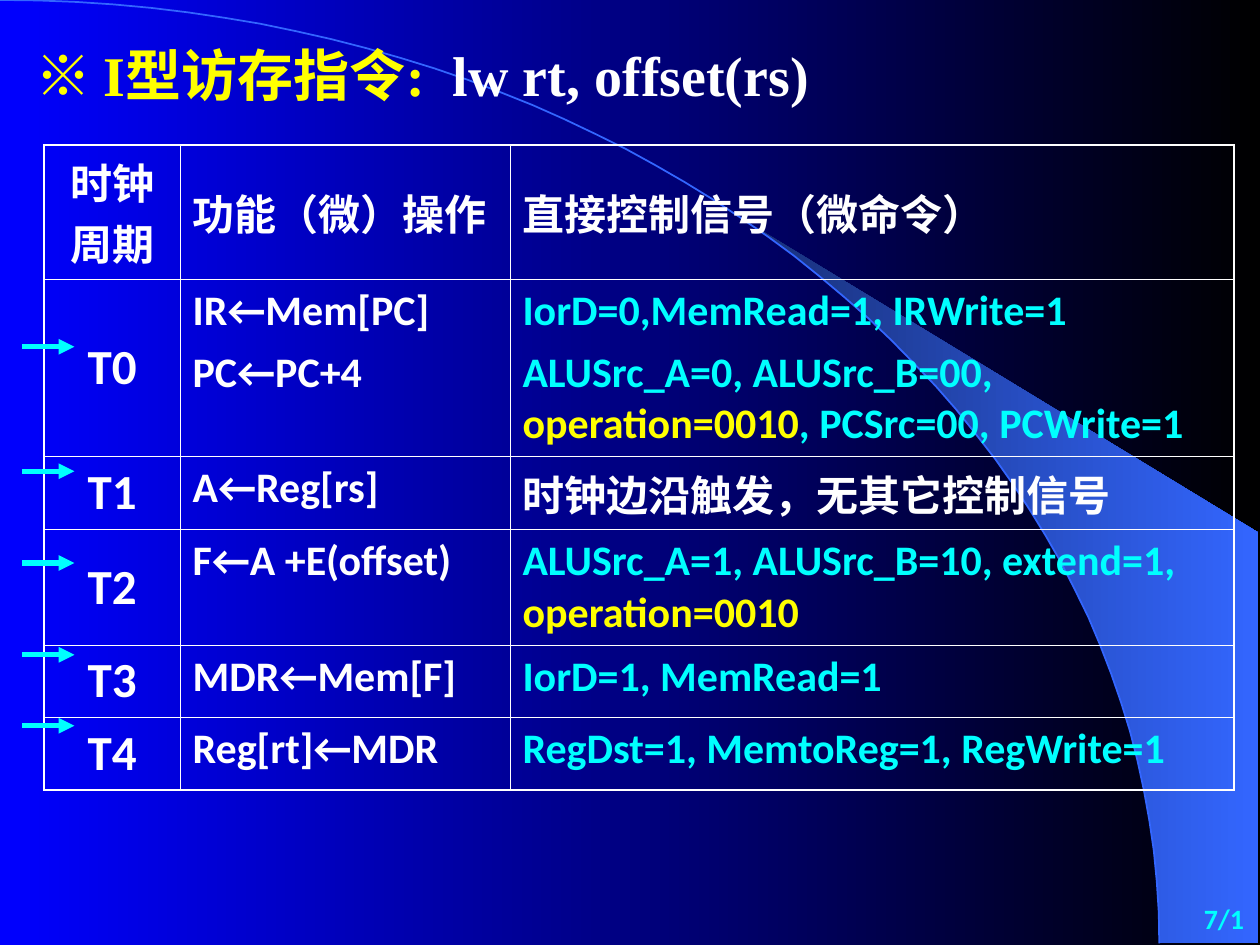
"""Builds the slide on the lw instruction: clock cycles, operations, signals."""
from lxml import etree
from pptx import Presentation
from pptx.dml.color import RGBColor
from pptx.enum.shapes import MSO_CONNECTOR
from pptx.enum.text import MSO_ANCHOR, PP_ALIGN
from pptx.oxml.ns import qn
from pptx.util import Cm, Pt

LINE = MSO_CONNECTOR.STRAIGHT
MID, TOP = MSO_ANCHOR.MIDDLE, MSO_ANCHOR.TOP
LEFT, MIDST, RIGHT = PP_ALIGN.LEFT, PP_ALIGN.CENTER, PP_ALIGN.RIGHT
WHITE, CYAN, GOLD, BLUE = "FFFFFF", "00FFFF", "FFFF00", "3366FF"
SANS, SERIF, HAN = "Calibri", "Times New Roman", "Noto Sans CJK SC"


def tint(code):
    """Turn a hex string into a colour."""
    return RGBColor.from_string(code)


def write(para, runs, size, face, align=LEFT, space=0):
    """Fill a paragraph with bold (text, colour) runs."""
    para.alignment, para.space_before = align, Pt(space)
    font = para.font
    font.size, font.bold, font.name = Pt(size), True, face
    etree.SubElement(font._element, qn("a:ea"), typeface=HAN)
    hues = {hue for _, hue in runs}
    if len(hues) == 1:
        font.color.rgb = tint(runs[0][1])
    for text, hue in runs:
        run = para.add_run()
        run.text = text
        if len(hues) > 1:
            run.font.color.rgb = tint(hue)


deck = Presentation()
deck.slide_width, deck.slide_height = Cm(25.4), Cm(19.05)
slide = deck.slides.add_slide(deck.slide_layouts[6])
shapes = slide.shapes

# fmt: off
curve = []
for step in range(51):
    t = step / 50
    u = 1 - t
    x = 12.9 * 3 * t * u**2 + 23.37 * (3 * t**2 * u + t**3)
    y = 8.51 * 3 * t**2 * u + 19.02 * t**3
    curve.append((round(x * 100), round(y * 100)))

tail = curve[22:]
edge = [(2537, 1902), (2537, 1074)]
build = shapes.build_freeform(*tail[0], scale=Cm(0.01))
build.add_line_segments(tail[1:] + edge, close=True)
wedge = build.convert_to_shape()
wedge.line.fill.background()
build = shapes.build_freeform(*curve[0], scale=Cm(0.01))
build.add_line_segments(curve[1:], close=False)
arc = build.convert_to_shape()
arc.fill.background()
arc.line.color.rgb, arc.line.width = tint(BLUE), Pt(1)
for shape in (wedge, arc):
    shape.shadow.inherit = False

for fill, hues in ((slide.background.fill, ("0000FF", "000000")),
                   (wedge.fill, ("182F76", BLUE))):
    fill.gradient()
    fill.gradient_angle = 0
    for stop, hue, place in zip(fill.gradient_stops, hues, (0, 1)):
        stop.color.rgb, stop.position = tint(hue), place

heads = ["时钟周期", "功能（微）操作", "直接控制信号（微命令）"]
steps = [
    ("T0", ["IR←Mem[PC]", "PC←PC+4"],
     [[("IorD=0,MemRead=1, IRWrite=1", CYAN)],
      [("ALUSrc_A=0, ALUSrc_B=00, ", CYAN), ("operation=0010", GOLD),
       (", PCSrc=00, PCWrite=1", CYAN)]]),
    ("T1", ["A←Reg[rs]"], [[("时钟边沿触发，无其它控制信号", WHITE)]]),
    ("T2", ["F←A +E(offset)"],
     [[("ALUSrc_A=1, ALUSrc_B=10, extend=1, ", CYAN),
       ("operation=0010", GOLD)]]),
    ("T3", ["MDR←Mem[F]"], [[("IorD=1, MemRead=1", CYAN)]]),
    ("T4", ["Reg[rt]←MDR"], [[("RegDst=1, MemtoReg=1, RegWrite=1", CYAN)]]),
]
rows = [[[[(head, WHITE)]] for head in heads]]
for name, acts, sigs in steps:
    rows.append([[[(name, WHITE)]], [[(act, WHITE)] for act in acts], sigs])

wides = [2.74, 6.65, 14.6]
highs = [2.29, 3.53, 1.45, 2.29, 1.45, 1.45]
table = shapes.add_table(len(rows), len(wides), Cm(0.89), Cm(2.92),
                         Cm(sum(wides)), Cm(sum(highs))).table
table.first_row = table.horz_banding = False
for col, wide in zip(table.columns, wides):
    col.width = Cm(wide)
for row, high in zip(table.rows, highs):
    row.height = Cm(high)

for r, row in enumerate(rows):
    for c, paras in enumerate(row):
        cell = table.cell(r, c)
        cell.vertical_anchor = MID if (r == 0) != (c == 0) else TOP
        props = cell._tc.get_or_add_tcPr()
        outer = (("L", c == 0), ("R", c == len(wides) - 1),
                 ("T", r == 0), ("B", r == len(rows) - 1))
        for side, rim in outer:
            line = etree.SubElement(props, qn("a:ln" + side),
                                    w=str(Pt(1.08 if rim else 0.45)))
            solid = etree.SubElement(line, qn("a:solidFill"))
            etree.SubElement(solid, qn("a:srgbClr"), val=WHITE)
        cell.fill.background()
        frame = cell.text_frame
        mark = r > 0 and c == 0
        for i, runs in enumerate(paras):
            para = frame.add_paragraph() if i else frame.paragraphs[0]
            write(para, runs, 28 if mark else 24, SANS if r else SERIF,
                  LEFT if c else MIDST, 7 if mark else 6)

title = shapes.add_textbox(Cm(0.46), Cm(0.69), Cm(19.84), Cm(1.63)).text_frame
title.word_wrap = True
write(title.paragraphs[0], [("※ ", GOLD), ("I型访存指令:  ", GOLD),
                            ("lw rt, offset(rs)", WHITE)], 32, SERIF, space=20)
title.paragraphs[0].runs[0].font.name = HAN

for y in (6.99, 9.5, 11.35, 13.2, 14.63):
    arrow = shapes.add_connector(LINE, Cm(0.45), Cm(y), Cm(1.5), Cm(y))
    arrow.line.color.rgb, arrow.line.width = tint(CYAN), Pt(3)
    etree.SubElement(arrow.line._get_or_add_ln(), qn("a:tailEnd"),
                     type="triangle")
    etree.SubElement(arrow._element.spPr, qn("a:effectLst"))

page = shapes.add_textbox(Cm(22.33), Cm(18.01), Cm(3), Cm(0.99)).text_frame
page.word_wrap, page.vertical_anchor = True, MID
write(page.paragraphs[0], [("7/1", CYAN)], 16, SANS, RIGHT)

deck.save("out.pptx")
